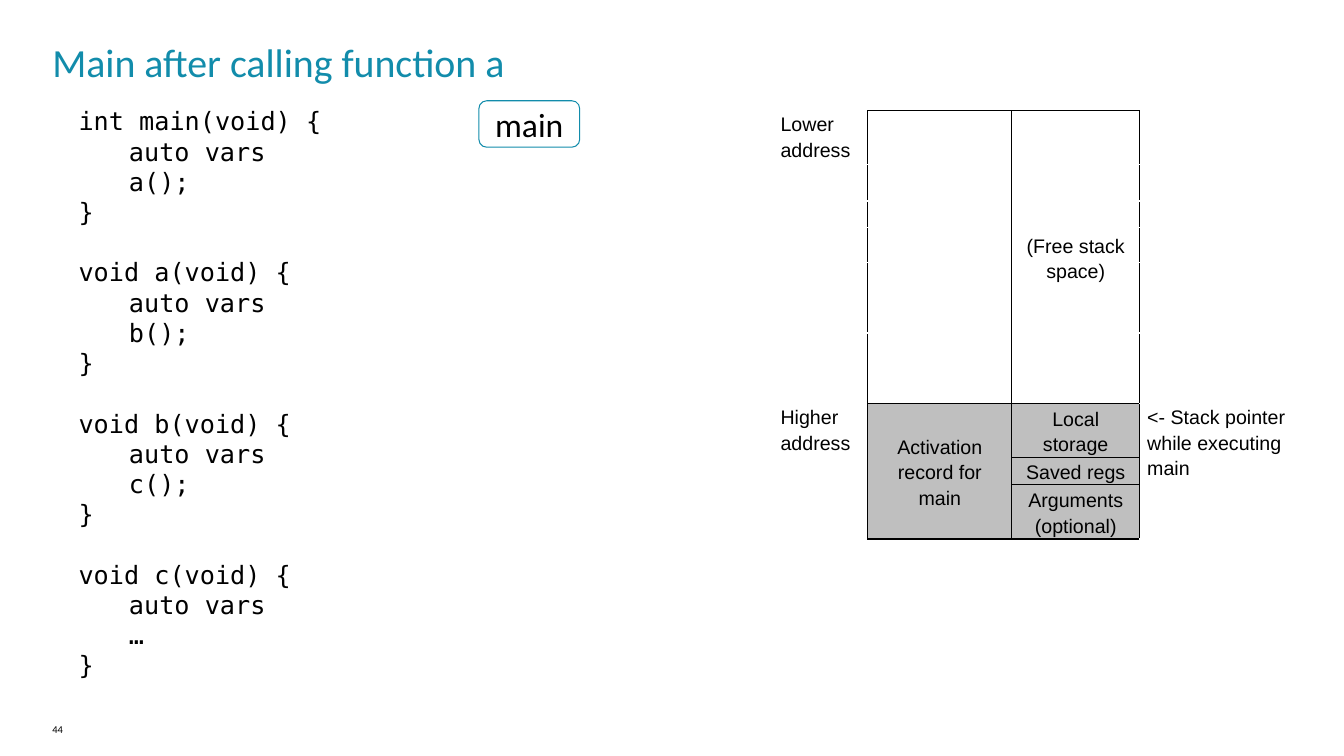
from dataclasses import dataclass, field
from typing import Any

import pptx
import pptx.dml.color
import pptx.enum.shapes
import pptx.enum.text
import pptx.oxml.ns
import pptx.util
from lxml import etree

Cm = pptx.util.Cm
Pt = pptx.util.Pt
ALIGN = pptx.enum.text.PP_ALIGN
ANCHOR = pptx.enum.text.MSO_ANCHOR

BLACK, WHITE, TEAL, GRAY = "000000", "FFFFFF", "128CAB", "BFBFBF"
PLAIN_STYLE = "{2D5ABB26-0587-4C30-8999-92F81FD0307C}"
WIDTHS = [2.39, 3.63, 3.22, 4.32]
HEIGHTS = [1.26, 0.91, 0.66, 0.89, 1.78, 1.78, 1.28, 0.64, 1.28]

CODE = [
    ["int main(void) {", "\tauto vars", "\ta();", "}"],
    ["void a(void) {", "\tauto vars", "\tb();", "}"],
    ["void b(void) {", "\tauto vars", "\tc();", "}"],
    ["void c(void) {", "\tauto vars", "\t…", "}"],
]


@dataclass
class Label:
    text: str
    box: tuple[float, float, float, float]
    size: float
    color: str = BLACK
    inset: float = 0


@dataclass
class Entry:
    row: int
    col: int
    text: str = ""
    span: int = 1
    fill: str = ""
    look: dict[str, Any] = field(default_factory=dict)


MID = {"alignment": ALIGN.CENTER}
LABELS = [
    Label("44", (1.32, 18.21, 3.63, 0.66), 7.5),
    Label("Main after calling function a", (1.32, 0.94, 31.01, 1.6), 28.5, TEAL),
]
ENTRIES = [
    Entry(0, 0, "Lower address"),
    Entry(0, 1, span=6),
    Entry(0, 2, "(Free stack space)", 6, look=MID),
    Entry(6, 0, "Higher address", 3),
    Entry(6, 1, "Activation record for main", 3, GRAY, MID),
    Entry(6, 2, "Local storage", fill=GRAY, look=MID),
    Entry(6, 3, "<- Stack pointer while executing main", 3),
    Entry(7, 2, "Saved regs", fill=GRAY, look=MID),
    Entry(8, 2, "Arguments (optional)", fill=GRAY, look=MID),
]


def tint(code: str) -> pptx.dml.color.RGBColor:
    return pptx.dml.color.RGBColor.from_string(code)


def apply(target: Any, values: dict[str, Any]) -> None:
    for name, value in values.items():
        setattr(target, name, value)


def write(para: Any, text: str, size: float, font: str, color: str = BLACK) -> None:
    run = para.add_run()
    run.text = text
    apply(run.font, {"name": font, "size": Pt(size)})
    run.font.color.rgb = tint(color)


def margins(side: float, top: float) -> dict[str, Any]:
    return {"margin_left": Cm(side), "margin_right": Cm(side),
            "margin_top": Cm(top), "margin_bottom": Cm(top)}


def add_label(slide: Any, label: Label) -> None:
    frame = slide.shapes.add_textbox(*map(Cm, label.box)).text_frame
    apply(frame, {"word_wrap": True, **margins(label.inset, label.inset)})
    write(frame.paragraphs[0], label.text, label.size, "Calibri", label.color)


def add_code(slide: Any) -> None:
    frame = slide.shapes.add_textbox(Cm(1.73), Cm(2.54), Cm(7.39), Cm(14.88)).text_frame
    frame.word_wrap = True
    para = frame.paragraphs[0]
    for block, lines in enumerate(CODE):
        for index, line in enumerate(lines):
            if block or index:
                para = frame.add_paragraph()
            if block and not index:
                para.space_before = Pt(21.5)
            if line.startswith("\t"):
                props = para._p.get_or_add_pPr()
                props.set("marL", str(Cm(1.27)))
                props.set("indent", "0")
            write(para, line.strip(), 18, "DejaVu Sans Mono")


def add_badge(slide: Any) -> None:
    kind = pptx.enum.shapes.MSO_SHAPE.ROUNDED_RECTANGLE
    badge = slide.shapes.add_shape(kind, Cm(12.07), Cm(2.54), Cm(2.54), Cm(1.17))
    badge.shadow.inherit = False
    badge.fill.background()
    badge.line.color.rgb = tint(TEAL)
    badge.line.width = Pt(0.75)
    badge.text_frame.vertical_anchor = ANCHOR.MIDDLE
    para = badge.text_frame.paragraphs[0]
    para.alignment = ALIGN.CENTER
    write(para, "main", 24, "Calibri")


def add_edges(cell: Any, edges: dict[str, str]) -> None:
    qn = pptx.oxml.ns.qn
    props = cell._tc.get_or_add_tcPr()
    for index, side in enumerate(side for side in "LRTB" if side in edges):
        line = etree.Element(qn(f"a:ln{side}"), w=str(Pt(1)))
        fill = etree.SubElement(line, qn("a:solidFill"))
        etree.SubElement(fill, qn("a:srgbClr"), val=edges[side])
        props.insert(index, line)


def find_edges(cell: Any, row: int, col: int) -> dict[str, str]:
    if col == 0:
        return {"L": WHITE, "R": BLACK, "T": WHITE, "B": WHITE}
    if col == 3:
        return {"L": BLACK, "R": WHITE, "T": WHITE, "B": WHITE}
    edges = {"L": BLACK, "R": BLACK}
    if not cell.is_spanned:
        edges["T"] = BLACK
    if not cell.is_spanned or row == len(HEIGHTS) - 1:
        edges["B"] = BLACK
    return edges


def add_stack(slide: Any) -> None:
    qn = pptx.oxml.ns.qn
    frame = slide.shapes.add_table(len(HEIGHTS), len(WIDTHS), Cm(19.48), Cm(2.79),
                                   Cm(sum(WIDTHS)), Cm(sum(HEIGHTS)))
    table = frame.table
    apply(table, {"first_row": False, "horz_banding": False})
    table._tbl.tblPr.find(qn("a:tableStyleId")).text = PLAIN_STYLE
    for column, width in zip(table.columns, WIDTHS):
        column.width = Cm(width)
    for line, height in zip(table.rows, HEIGHTS):
        line.height = Cm(height)
    for item in ENTRIES:
        if item.span > 1:
            table.cell(item.row, item.col).merge(
                table.cell(item.row + item.span - 1, item.col))
    entries = {(item.row, item.col): item for item in ENTRIES}
    for row in range(len(HEIGHTS)):
        for col in range(len(WIDTHS)):
            cell = table.cell(row, col)
            item = entries.get((row, col), Entry(row, col))
            apply(cell, margins(0.19, 0))
            cell.vertical_anchor = ANCHOR.MIDDLE if item.look else ANCHOR.TOP
            if item.fill:
                cell.fill.solid()
                cell.fill.fore_color.rgb = tint(item.fill)
            else:
                cell.fill.background()
            para = cell.text_frame.paragraphs[0]
            if item.text:
                apply(para, {"line_spacing": 1.15, **item.look})
                write(para, item.text, 14, "Arial")
            else:
                etree.SubElement(para._p, qn("a:endParaRPr"), sz="1400")
            add_edges(cell, find_edges(cell, row, col))


def main() -> None:
    deck = pptx.Presentation()
    apply(deck, {"slide_width": Cm(33.87), "slide_height": Cm(19.05)})
    slide = deck.slides.add_slide(deck.slide_layouts[6])
    for label in LABELS:
        add_label(slide, label)
    add_stack(slide)
    add_code(slide)
    add_badge(slide)
    deck.save("out.pptx")


if __name__ == "__main__":
    main()
